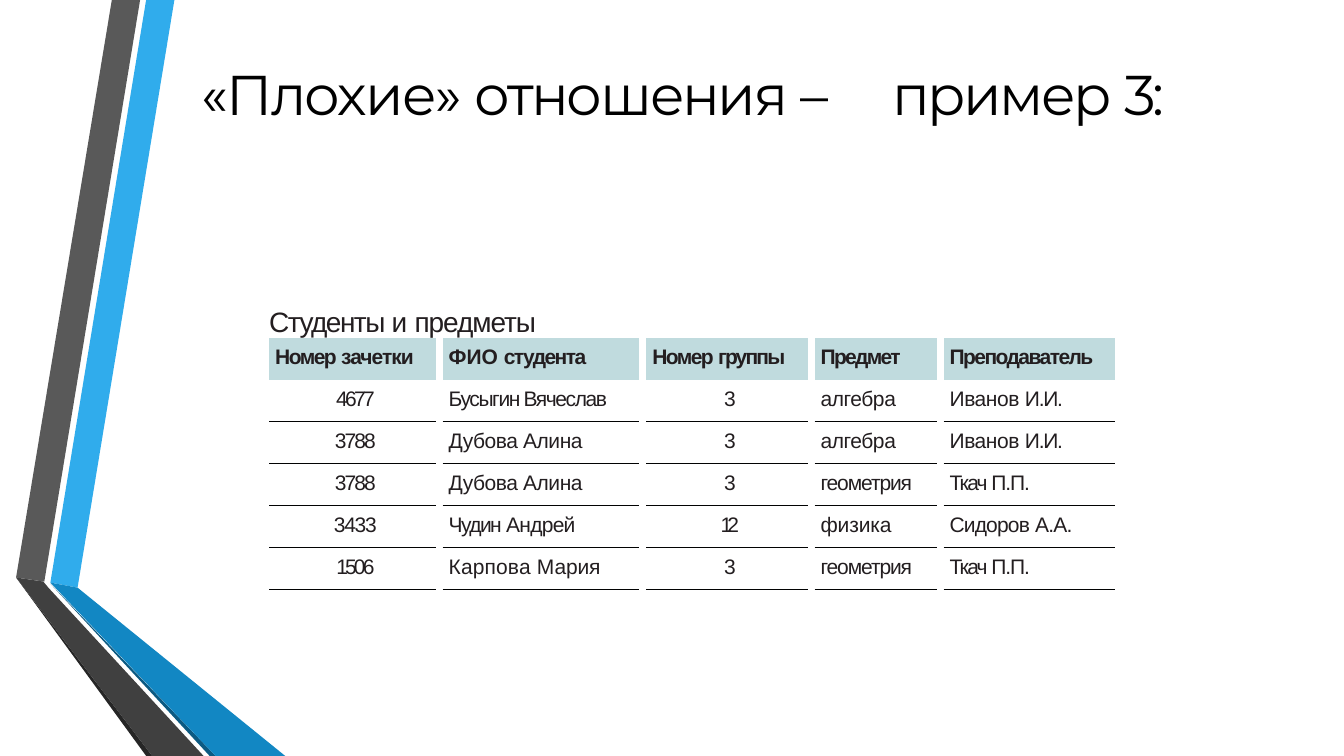
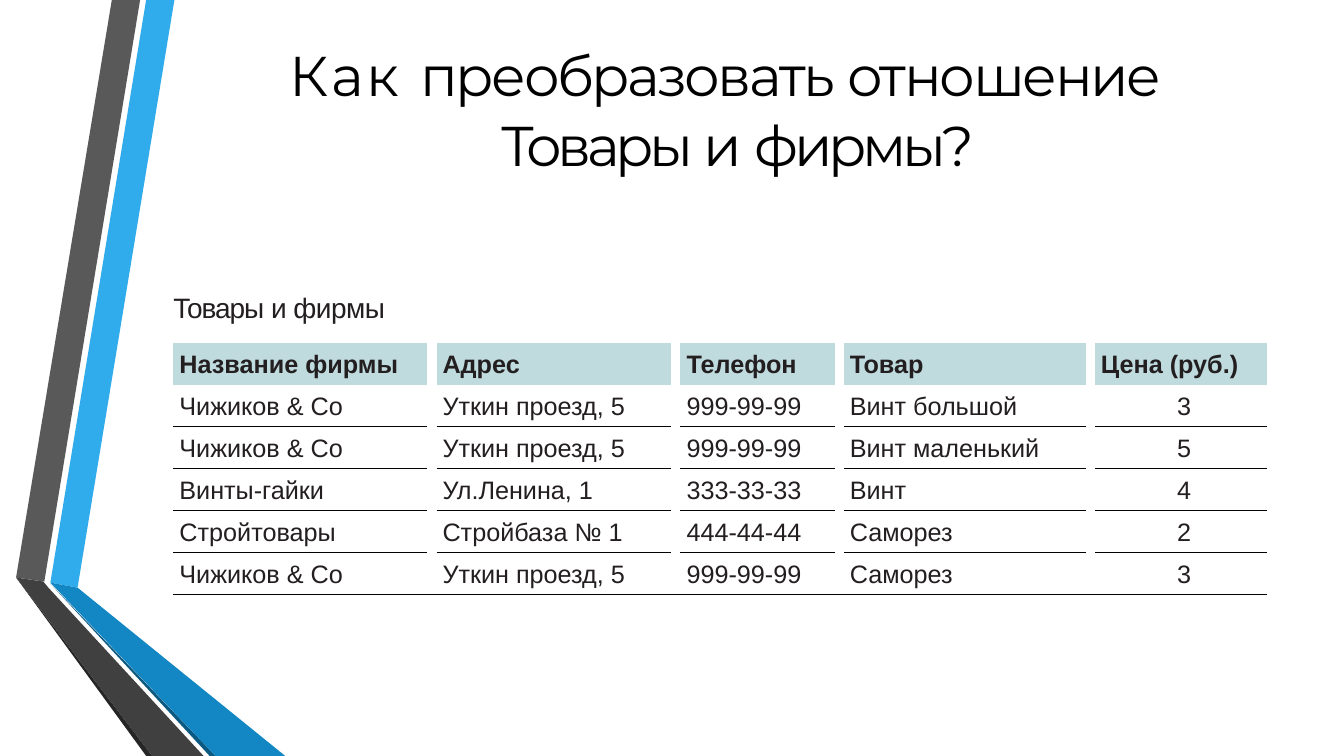
from lxml.etree import SubElement
from pptx import Presentation
from pptx.dml.color import RGBColor
from pptx.enum.text import MSO_ANCHOR as Anchor, PP_ALIGN as Align
from pptx.oxml import parse_xml
from pptx.oxml.ns import nsdecls, qn
from pptx.util import Inches, Pt

COLORS = {
    "blue": "30ACEC", "blue_fold": "1287C3", "blue_shade": "0C5A82",
    "gray": "595959", "gray_fold": "404040", "gray_shade": "262626",
    "title": "000000", "text": "231E20", "header": "C0DBDE", "rule": "010202",
}
TITLE_FONT, BODY_FONT = "Montserrat", "Arial"
PLAIN_STYLE = "{2D5ABB26-0587-4C30-8999-92F81FD0307C}"  # no style, no grid
ROW_HEIGHT = 0.417

# Ribbons at the left edge, from back to front
RIBBONS = [
    ("blue", [(0.5, 5.78), (0.77, 5.83), (1.73, 0), (1.45, 0)]),
    ("gray", [(1.39, 0), (1.11, 0), (0.16, 5.73), (0.44, 5.77)]),
    ("gray_shade", [(0.16, 5.73), (1.45, 7.5), (1.51, 7.5)]),
    ("blue_shade", [(0.5, 5.79), (2.08, 7.5), (2.14, 7.5)]),
    ("blue_fold", [(0.5, 5.78), (2.14, 7.5), (2.83, 7.5), (0.77, 5.83)]),
    ("gray_fold", [(2.02, 7.5), (0.48, 5.83), (0.43, 5.77), (0.16, 5.73), (1.51, 7.5)]),
]

# Letter spacing of table words, in points
TRACKING = {
    "Номер": -1.1, "зачетки": -0.7, "студента": -1.1, "группы": -1.3,
    "Предмет": -1.2, "Преподаватель": -1.1,
    "4677": -1.9, "3788": -1.4, "3433": -0.9, "1506": -2, "12": -3.6,
    "Бусыгин": -1, "Вячеслав": -1, "Дубова": -0.3, "Алина": -0.3,
    "Чудин": -1.1, "Андрей": -0.5, "Карпова": 0.1, "Мария": -0.1,
    "алгебра": -0.3, "геометрия": -0.8, "физика": -0.1,
    "Иванов": -0.3, "И.И.": -0.9, "Ткач": -1.4, "П.П.": -0.8,
    "Сидоров": -0.6, "А.А.": -0.5,
}

STUDENTS = [
    ["Номер зачетки", "ФИО студента", "Номер группы", "Предмет", "Преподаватель"],
    ["4677", "Бусыгин Вячеслав", "3", "алгебра", "Иванов И.И."],
    ["3788", "Дубова Алина", "3", "алгебра", "Иванов И.И."],
    ["3788", "Дубова Алина", "3", "геометрия", "Ткач П.П."],
    ["3433", "Чудин Андрей", "12", "физика", "Сидоров А.А."],
    ["1506", "Карпова Мария", "3", "геометрия", "Ткач П.П."],
]
GOODS = [
    ["Название фирмы", "Адрес", "Телефон", "Товар", "Цена (руб.)"],
    ["Чижиков & Co", "Уткин проезд, 5", "999-99-99", "Винт большой", "3"],
    ["Чижиков & Co", "Уткин проезд, 5", "999-99-99", "Винт маленький", "5"],
    ["Винты-гайки", "Ул.Ленина, 1", "333-33-33", "Винт", "4"],
    ["Стройтовары", "Стройбаза № 1", "444-44-44", "Саморез", "2"],
    ["Чижиков & Co", "Уткин проезд, 5", "999-99-99", "Саморез", "3"],
]


def color(name):
    return RGBColor.from_string(COLORS[name])


def tracked_words(text):
    """Split text into (word, spacing) runs, each space kept with its word."""
    words = text.split(" ")
    ends = [" "] * (len(words) - 1) + [""]
    return [(word + end, TRACKING.get(word, 0)) for word, end in zip(words, ends)]


class Deck:
    def __init__(self):
        self.presentation = Presentation()
        self.presentation.slide_width = Inches(13.33)
        self.presentation.slide_height = Inches(7.5)
        self.slide = None

    def add_slide(self):
        self.slide = self.presentation.slides.add_slide(self.presentation.slide_layouts[6])
        for fill, points in RIBBONS:
            self.ribbon(fill, points)

    def ribbon(self, fill, points):
        corners = [(Inches(x), Inches(y)) for x, y in points]
        builder = self.slide.shapes.build_freeform(*corners[0])
        builder.add_line_segments(corners[1:], close=True)
        shape = builder.convert_to_shape()
        shape.shadow.inherit = False
        shape.fill.solid()
        shape.fill.fore_color.rgb = color(fill)
        shape.line.fill.background()

    def add_runs(self, paragraph, runs, font, size, ink, bold=False, align=Align.LEFT):
        paragraph.alignment = align
        paragraph.font.name = font
        paragraph.font.size = Pt(size)
        paragraph.font.bold = bold
        paragraph.font.color.rgb = color(ink)
        for text, spacing in runs:
            if text == "\n":
                paragraph.add_line_break()
                continue
            run = paragraph.add_run()
            run.text = text
            if spacing:
                run.font._element.set("spc", str(round(spacing * 100)))

    def text_frame(self, left, top, width, height, inset):
        box = self.slide.shapes.add_textbox(
            Inches(left), Inches(top), Inches(width), Inches(height))
        frame = box.text_frame
        frame.word_wrap = True
        frame.margin_left = frame.margin_right = frame.margin_bottom = 0
        frame.margin_top = Inches(inset)
        return frame

    def title(self, runs, left, top, width, height):
        frame = self.text_frame(left, top, width, height, 0.08)
        frame.vertical_anchor = Anchor.MIDDLE
        paragraph = frame.paragraphs[0]
        paragraph.line_spacing = Pt(50)
        self.add_runs(paragraph, runs, TITLE_FONT, 40, "title", align=Align.CENTER)

    def caption(self, runs, left, top, width):
        frame = self.text_frame(left, top, width, 0.34, 0.01)
        self.add_runs(frame.paragraphs[0], runs, BODY_FONT, 20, "text")

    def table(self, rows, left, top, widths, gap, size, centered, closing_rule=False):
        """Place data in every other column; narrow columns between are gaps."""
        columns = [gap] * (2 * len(widths) - 1)
        columns[::2] = widths
        frame = self.slide.shapes.add_table(
            len(rows), len(columns), Inches(left), Inches(top),
            Inches(sum(columns)), Inches(ROW_HEIGHT * len(rows)))
        table = frame.table
        table.first_row = table.horz_banding = False
        table._tbl.tblPr.find(qn("a:tableStyleId")).text = PLAIN_STYLE
        for column, width in zip(table.columns, columns):
            column.width = Inches(width)
        for row in table.rows:
            row.height = Inches(ROW_HEIGHT)

        for i, row in enumerate(rows):
            is_header = i == 0
            for j in range(len(columns)):
                cell = table.cell(i, j)
                cell.margin_left = cell.margin_right = cell.margin_bottom = 0
                cell.margin_top = Inches(0.08)
                cell.fill.background()
                is_gap = j % 2 == 1
                if is_gap:
                    if closing_rule and i == len(rows) - 1:
                        self.rule_below(cell)
                    continue
                cell.margin_left = Inches(0.06)
                if is_header:
                    cell.fill.solid()
                    cell.fill.fore_color.rgb = color("header")
                else:
                    self.rule_below(cell)
                is_centered = not is_header and j // 2 in centered
                self.add_runs(cell.text_frame.paragraphs[0], tracked_words(row[j // 2]),
                              BODY_FONT, size, "text", bold=is_header,
                              align=Align.CENTER if is_centered else Align.LEFT)

    def rule_below(self, cell):
        line = parse_xml(f'<a:lnB {nsdecls("a")} w="{Pt(1)}"/>')
        fill = SubElement(line, qn("a:solidFill"))
        SubElement(fill, qn("a:srgbClr"), val=COLORS["rule"])
        cell._tc.get_or_add_tcPr().insert(0, line)


def main():
    deck = Deck()

    # Students and subjects
    deck.add_slide()
    deck.title([("«Плохие» ", -1.2), ("отношения ", -1.6), ("– ", 17.4),
                ("пример ", -1.7), ("3:", -2.2)], 0.63, 0.48, 12.29, 0.78)
    deck.caption([("Студенты ", -1.1), ("и ", -0.4), ("предметы", -0.8)], 2.67, 3.01, 2.68)
    deck.table(STUDENTS, 2.67, 3.35, [1.65, 1.95, 1.6, 1.21, 1.7], 0.07, 15, {0, 2})

    # Goods and firms
    deck.add_slide()
    deck.title([("Как ", 2.3), ("преобразовать ", -1.7), ("отношение", -1.6), (" ", 7.3),
                ("\n", 0), ("Товары ", -3.2), ("и ", -1.7), ("фирмы?", -3)],
               1.38, 0.29, 11.88, 1.48)
    deck.caption([("Товары ", -0.8), ("и фирмы", -0.4)], 1.72, 2.87, 2.14)
    deck.table(GOODS, 1.72, 3.4, [2.52, 2.33, 1.53, 2.4, 1.71], 0.09, 18, {4},
               closing_rule=True)

    deck.presentation.save("out.pptx")


if __name__ == "__main__":
    main()
